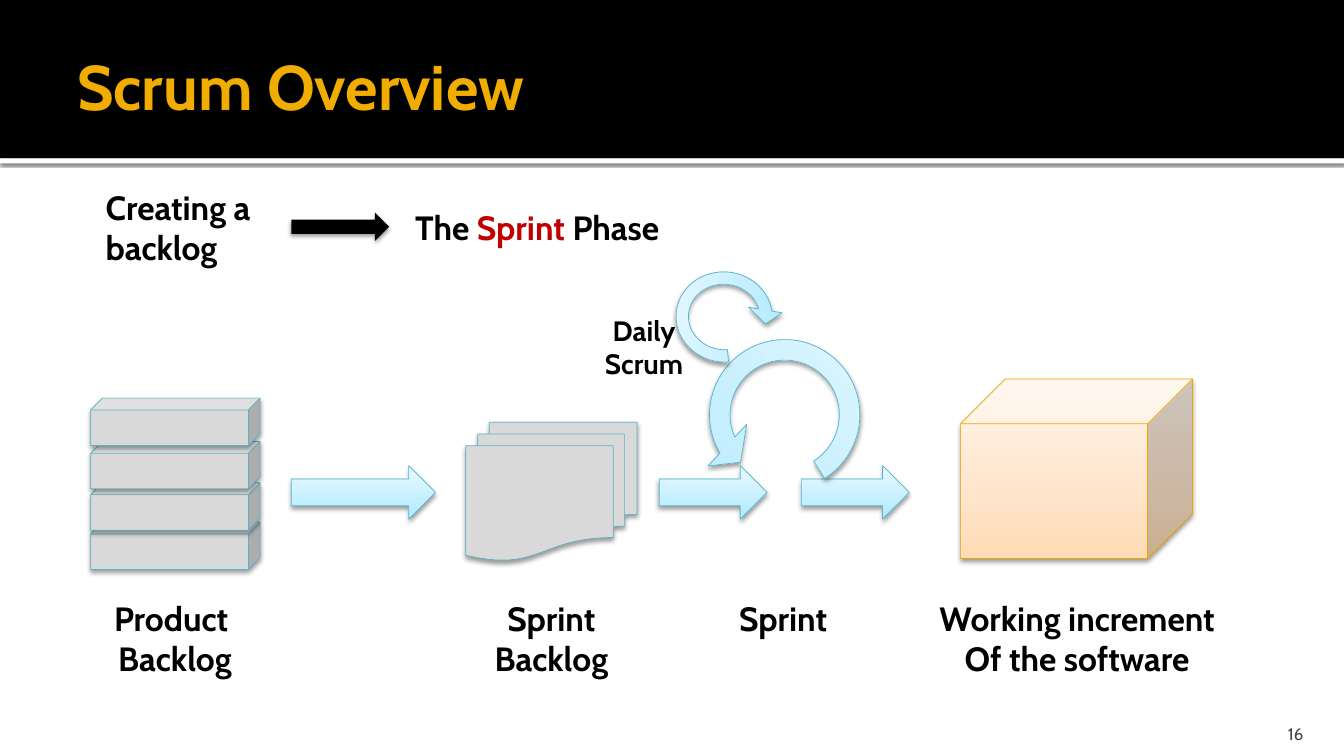
from copy import deepcopy
from lxml.etree import SubElement
from pptx import Presentation
from pptx.dml.color import RGBColor
from pptx.enum.shapes import MSO_SHAPE
from pptx.enum.text import MSO_ANCHOR, MSO_AUTO_SIZE, PP_ALIGN
from pptx.oxml.ns import qn
from pptx.util import Inches, Pt

BLUE = ("ADE9FF", "C5EFFF", "E9F9FF")
PEACH = ("FFDBB5", "FFE5CB", "FFF5EB")
GREY = "D9D9D9"
SOFT = (38, 3.5, 2)
TURN = (0.11, 11.423, 63, 6.565, 0.152)


def color(code):
    return RGBColor.from_string(code)


class Board:
    font = "Cabin"
    edge = "5BB3CA"
    cols, rows = 160, 90

    def __init__(self, deck):
        self.wide, self.high = deck.slide_width, deck.slide_height
        self.slide = deck.slides.add_slide(deck.slide_layouts[6])

    def area(self, x, y, w, h):
        col, row = self.wide / self.cols, self.high / self.rows
        return int(x * col), int(y * row), int(w * col), int(h * row)

    def shade(self, shape, alpha, blur, gap):
        effects = shape._element.spPr.find(qn("a:effectLst"))
        outer = SubElement(effects, qn("a:outerShdw"), blurRad=str(Pt(blur)),
                           dist=str(Pt(gap)), dir="5400000", rotWithShape="0")
        tint = SubElement(outer, qn("a:srgbClr"), val="000000")
        SubElement(tint, qn("a:alpha"), val=str(alpha * 1000))

    def blend(self, shape, tints):
        shape.fill.gradient()
        shape.fill.gradient_angle = 90
        stops = shape._element.spPr.find(".//" + qn("a:gsLst"))
        stops.insert(1, deepcopy(stops[0]))
        for stop, place, tint in zip(shape.fill.gradient_stops, (0, 0.35, 1), tints):
            stop.position = place
            stop.color.rgb = color(tint)

    def shape(self, kind, box, fill, edge=edge, shadow=SOFT):
        shape = self.slide.shapes.add_shape(kind, *self.area(*box))
        shape.shadow.inherit = False
        if isinstance(fill, tuple):
            self.blend(shape, fill)
        else:
            shape.fill.solid()
            shape.fill.fore_color.rgb = color(fill)
        if edge:
            shape.line.color.rgb = color(edge)
            shape.line.width = Pt(0.5)
        else:
            shape.line.fill.background()
        if shadow:
            self.shade(shape, *shadow)
        return shape

    def loop(self, box, angle, flip=False):
        loop = self.shape(MSO_SHAPE.LEFT_CIRCULAR_ARROW, box, BLUE)
        for i, value in enumerate(TURN):
            loop.adjustments[i] = value
        loop.rotation = angle
        if flip:
            loop._element.spPr.xfrm.set("flipH", "1")

    def text(self, box, words, size=24, tint="000000", bold=True,
             align=PP_ALIGN.CENTER, wrap=False, grow=True):
        frame = self.slide.shapes.add_textbox(*self.area(*box)).text_frame
        frame.text = words
        frame.word_wrap = wrap
        frame.auto_size = MSO_AUTO_SIZE.SHAPE_TO_FIT_TEXT if grow else MSO_AUTO_SIZE.NONE
        for para in frame.paragraphs:
            para.alignment = align
            for run in para.runs:
                self.style(run, size, tint, bold)
        return frame

    def style(self, run, size, tint, bold=True):
        run.font.name = self.font
        run.font.size = Pt(size)
        run.font.bold = bold
        run.font.color.rgb = color(tint)


def main():
    deck = Presentation()
    deck.slide_width, deck.slide_height = Inches(13.33), Inches(7.5)
    board = Board(deck)
    left = {"align": PP_ALIGN.LEFT, "wrap": True}

    board.shape(MSO_SHAPE.RECTANGLE, (0, 18.84, 160, 0.6), "FFFFFF", None, (60, 2.5, 0.8))
    board.shape(MSO_SHAPE.RECTANGLE, (0, 0, 160, 18.84), "000000", None, None)
    title = board.text((8, 2, 144, 16.4), "Scrum Overview", 45, "F0AD00", grow=False, **left)
    title.vertical_anchor = MSO_ANCHOR.MIDDLE
    title.margin_right = Inches(0.05)
    page = board.text((143.52, 84.96, 12.84, 3.6), "16", 12, "454545", False,
                      PP_ALIGN.RIGHT, True, False)
    page.vertical_anchor = MSO_ANCHOR.BOTTOM
    page.margin_bottom = 0

    for y in (62.16, 57.48, 52.56, 47.4):
        board.shape(MSO_SHAPE.CUBE, (10.8, y, 20.16, 5.64), GREY)
    board.shape(MSO_SHAPE.FLOWCHART_MULTIDOCUMENT, (55.44, 50.28, 20.4, 16.44), GREY)
    for x, w in ((34.68, 17.16), (95.4, 12.84)):
        board.shape(MSO_SHAPE.RIGHT_ARROW, (x, 55.44, w, 6.36), BLUE)
    board.loop((82.32, 38.28, 22.2, 22.2), 47)
    board.shape(MSO_SHAPE.RIGHT_ARROW, (78.48, 55.44, 12.84, 6.36), BLUE)
    board.shape(MSO_SHAPE.CUBE, (114.36, 45.12, 27.6, 21.36), PEACH, "EBA900")

    for x, w, h, words in (
        (12.24, 17.16, 10.92, "Product \nBacklog"),
        (57.48, 16.32, 10.92, "Sprint\nBacklog"),
        (86.64, 13.2, 6, "Sprint"),
        (110.28, 35.88, 10.92, "Working increment\nOf the software"),
    ):
        board.text((x, 70.56, w, h), words)

    board.text((11.4, 21.6, 21.48, 10.92), "Creating a\nbacklog", **left)
    phase = board.text((48.24, 24, 34.32, 6), "The ", **left).paragraphs[0]
    for words, tint in (("Sprint", "C00000"), (" Phase", "000000")):
        run = phase.add_run()
        run.text = words
        board.style(run, 24, tint)
    board.shape(MSO_SHAPE.RIGHT_ARROW, (34.68, 25.32, 11.64, 3.36), "000000", None, (38, 3.1, 2))

    board.loop((79.56, 30.72, 13.32, 14.04), 275.4, True)
    board.text((70.8, 36.72, 11.76, 9.24), "Daily\vScrum", 20)
    deck.save("out.pptx")


if __name__ == "__main__":
    main()
